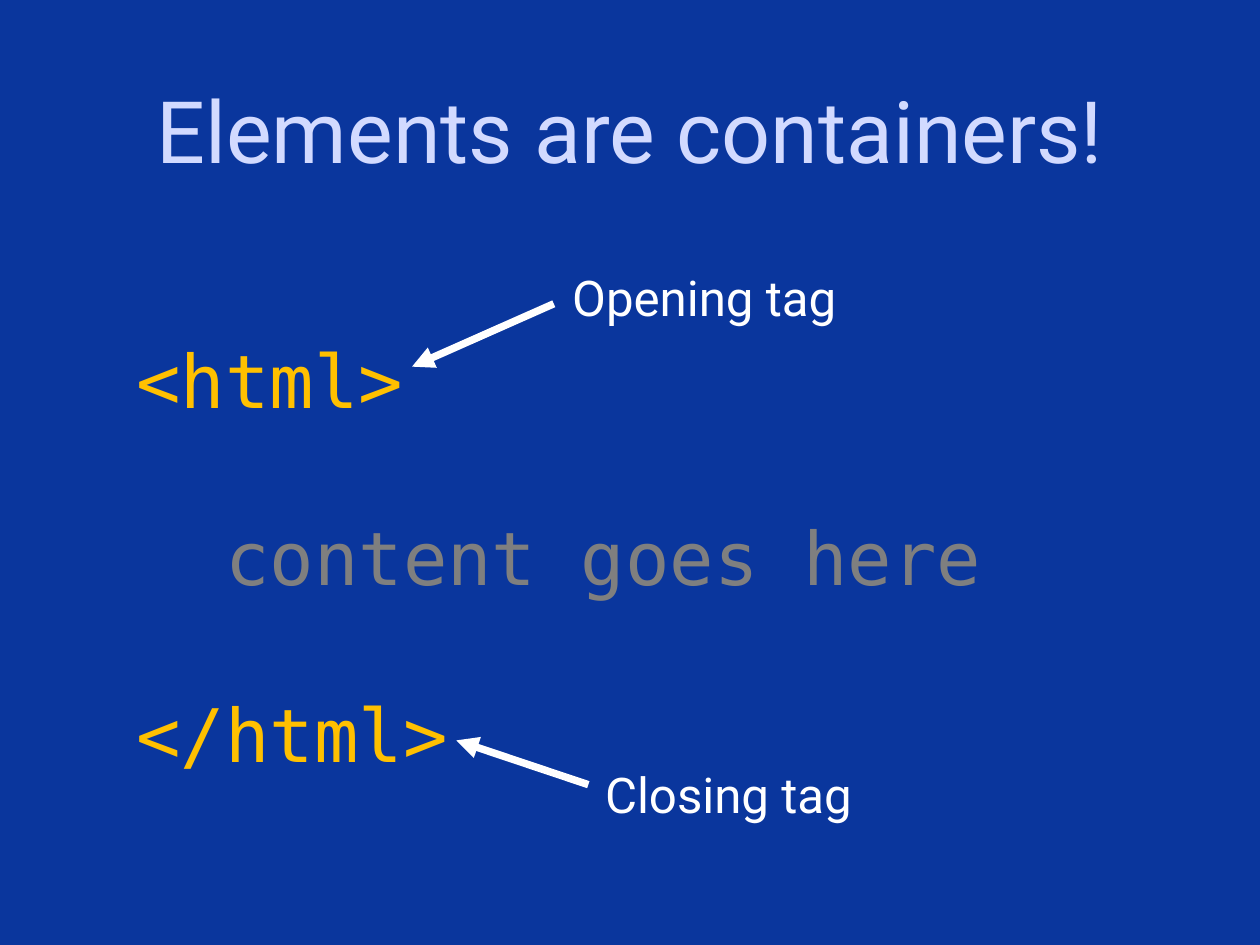
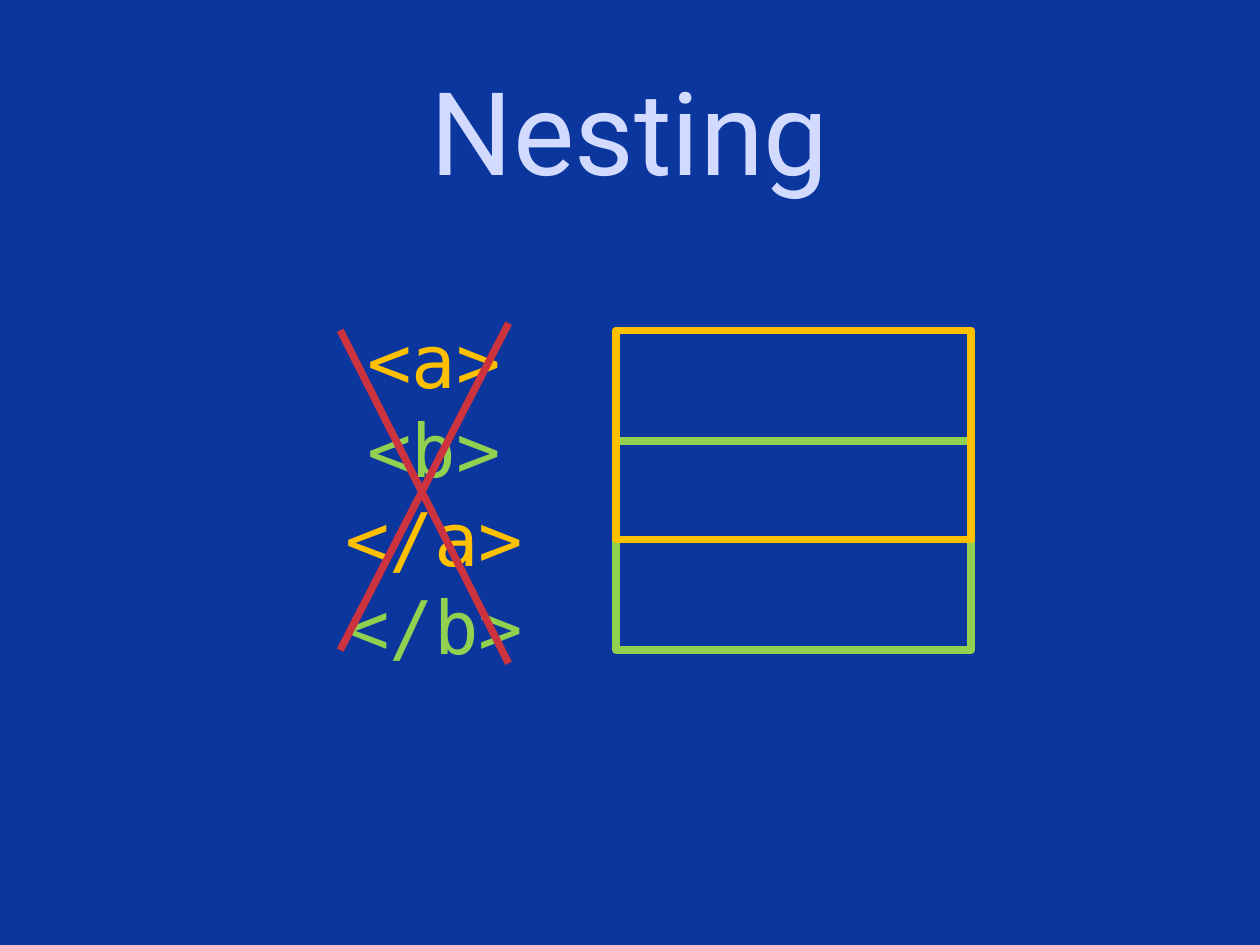
"""Build two slides on HTML elements: containers and nesting."""
from dataclasses import dataclass

import pptx
import pptx.dml.color
import pptx.enum.shapes
import pptx.enum.text
import pptx.oxml
import pptx.presentation
import pptx.shapes.autoshape
import pptx.slide
import pptx.util
from pptx.util import Inches

Align = pptx.enum.text.PP_ALIGN
Anchor = pptx.enum.text.MSO_ANCHOR
Color = pptx.dml.color.RGBColor


@dataclass(frozen=True)
class Theme:
    background: str = "0A369D"
    title: str = "D2DAFF"
    outer: str = "FFC000"
    inner: str = "92D050"
    content: str = "7F7F7F"
    label: str = "FFFFFF"
    cross: str = "CC333F"
    text_font: str = "Roboto"
    code_font: str = "DejaVu Sans Mono"
    code_size: float = 60
    code_pitch: float = 72
    label_size: float = 40
    line_width: float = 6


@dataclass(frozen=True)
class Box:
    left: float
    top: float
    width: float
    height: float

    def lengths(self) -> tuple[Inches, ...]:
        return tuple(Inches(value) for value in (self.left, self.top, self.width, self.height))


@dataclass(frozen=True)
class Line:
    start: tuple[float, float]
    end: tuple[float, float]


@dataclass(frozen=True)
class Callout:
    text: str
    box: Box
    arrow: Line


@dataclass(frozen=True)
class CodeLine:
    text: str
    color: str


THEME = Theme()
TITLE_BOX = Box(1.04, 0.28, 12.14, 2.36)
CONTAINER_BOX = Box(1.44, 3.73, 11.34, 5.15)
NESTING_BOX = Box(3.4, 3.51, 3, 4.1)

CONTAINER_CODE = [
    CodeLine("<html>", THEME.outer),
    CodeLine("  content goes here", THEME.content),
    CodeLine("</html>", THEME.outer),
]
CALLOUTS = [
    Callout("Opening tag", Box(6.36, 2.97, 3.47, 0.77), Line((6.25, 3.43), (4.65, 4.14))),
    Callout("Closing tag", Box(6.73, 8.58, 3.13, 0.77), Line((6.64, 8.86), (5.15, 8.36))),
]
NESTING_CODE = [
    CodeLine("<a>", THEME.outer),
    CodeLine("<b>", THEME.inner),
    CodeLine("</a>", THEME.outer),
    CodeLine("</b>", THEME.inner),
]
CROSS = [Line((3.84, 3.73), (5.74, 7.49)), Line((3.84, 7.34), (5.74, 3.65))]
OVERLAPPING_FRAMES = [
    (Box(6.95, 4.98, 4.01, 2.36), THEME.inner),
    (Box(6.95, 3.73, 4.01, 2.36), THEME.outer),
]


def add_text_box(
    slide: pptx.slide.Slide, box: Box, anchor: Anchor = Anchor.TOP
) -> pptx.shapes.autoshape.Shape:
    """Add an empty wrapping text box."""
    shape = slide.shapes.add_textbox(*box.lengths())
    shape.text_frame.word_wrap = True
    shape.text_frame.vertical_anchor = anchor
    return shape


def write(
    shape: pptx.shapes.autoshape.Shape,
    text: str,
    *,
    size: float,
    color: str,
    font: str = THEME.text_font,
    align: Align = Align.LEFT,
    pitch: float | None = None,
    space_before: float = 0,
) -> None:
    """Write one formatted paragraph after any text already in the shape."""
    frame = shape.text_frame
    paragraph = frame.add_paragraph() if frame.text else frame.paragraphs[0]
    paragraph.alignment = align
    paragraph.space_before = pptx.util.Pt(space_before)
    if pitch is not None:
        paragraph.line_spacing = pptx.util.Pt(pitch)
    run = paragraph.add_run()
    run.text = text
    run.font.name = font
    run.font.size = pptx.util.Pt(size)
    run.font.color.rgb = Color.from_string(color)


def write_code(
    slide: pptx.slide.Slide, box: Box, lines: list[CodeLine], align: Align, gap: float = 0
) -> None:
    """Write lines of code with an equal gap between them."""
    shape = add_text_box(slide, box)
    for index, line in enumerate(lines):
        write(
            shape,
            line.text,
            size=THEME.code_size,
            color=line.color,
            font=THEME.code_font,
            align=align,
            pitch=THEME.code_pitch,
            space_before=gap if index else 0,
        )


def add_line(slide: pptx.slide.Slide, line: Line, color: str, arrow: bool = False) -> None:
    """Draw a straight line, with an arrowhead at its end if asked."""
    connector = slide.shapes.add_connector(
        pptx.enum.shapes.MSO_CONNECTOR.STRAIGHT,
        *(Inches(value) for value in line.start + line.end),
    )
    connector.line.width = pptx.util.Pt(THEME.line_width)
    connector.line.color.rgb = Color.from_string(color)
    if arrow:
        outline = connector.line._get_or_add_ln()
        pptx.oxml.xmlchemy.OxmlElement("a:tailEnd")
        head = pptx.oxml.xmlchemy.OxmlElement("a:tailEnd")
        head.set("type", "triangle")
        outline.append(head)
    connector._element.spPr.append(pptx.oxml.xmlchemy.OxmlElement("a:effectLst"))


def add_frame(slide: pptx.slide.Slide, box: Box, color: str) -> None:
    """Draw an unfilled rectangle."""
    shape = slide.shapes.add_shape(pptx.enum.shapes.MSO_SHAPE.RECTANGLE, *box.lengths())
    shape.shadow.inherit = False
    shape.fill.background()
    shape.line.width = pptx.util.Pt(THEME.line_width)
    shape.line.color.rgb = Color.from_string(color)


def add_titled_slide(
    presentation: pptx.presentation.Presentation, title: str, size: float
) -> pptx.slide.Slide:
    """Add a blank slide with a centred title."""
    slide = presentation.slides.add_slide(presentation.slide_layouts[6])
    shape = add_text_box(slide, TITLE_BOX, Anchor.MIDDLE)
    write(shape, title, size=size, color=THEME.title, align=Align.CENTER)
    return slide


def build_containers(presentation: pptx.presentation.Presentation) -> None:
    """Build the slide on opening and closing tags."""
    slide = add_titled_slide(presentation, "Elements are containers!", 70)
    write_code(slide, CONTAINER_BOX, CONTAINER_CODE, Align.LEFT, gap=THEME.code_pitch)
    for callout in CALLOUTS:
        add_line(slide, callout.arrow, THEME.label, arrow=True)
        label = add_text_box(slide, callout.box)
        write(label, callout.text, size=THEME.label_size, color=THEME.label)


def build_nesting(presentation: pptx.presentation.Presentation) -> None:
    """Build the slide on wrongly nested tags."""
    slide = add_titled_slide(presentation, "Nesting", 93.9)
    write_code(slide, NESTING_BOX, NESTING_CODE, Align.CENTER)
    for line in CROSS:
        add_line(slide, line, THEME.cross)
    for box, color in OVERLAPPING_FRAMES:
        add_frame(slide, box, color)


def main() -> None:
    """Build and save the presentation."""
    presentation = pptx.Presentation()
    presentation.slide_width = Inches(14.22)
    presentation.slide_height = Inches(10.67)
    fill = presentation.slide_master.background.fill
    fill.solid()
    fill.fore_color.rgb = Color.from_string(THEME.background)
    build_containers(presentation)
    build_nesting(presentation)
    presentation.save("out.pptx")


if __name__ == "__main__":
    main()
